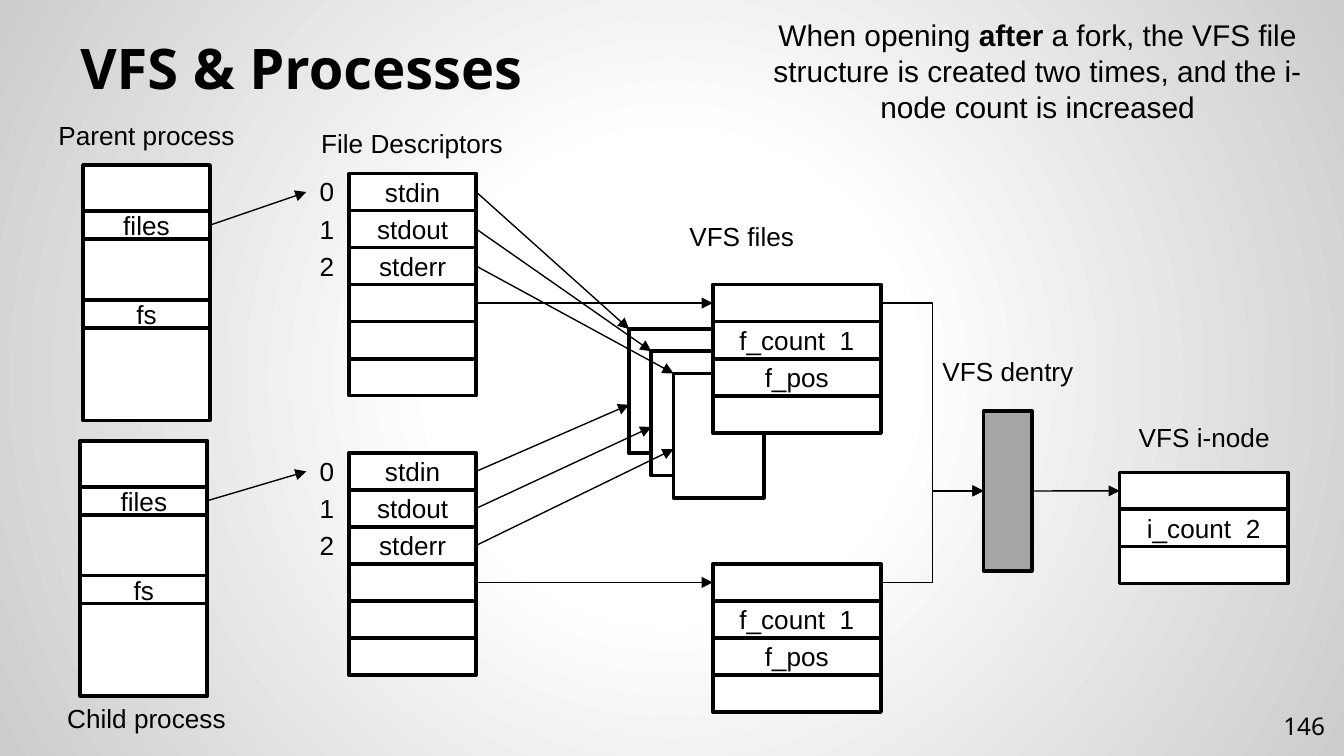
from lxml import etree
from pptx import Presentation
from pptx.dml.color import RGBColor
from pptx.enum.shapes import MSO_CONNECTOR, MSO_SHAPE
from pptx.enum.text import MSO_ANCHOR, MSO_AUTO_SIZE, PP_ALIGN
from pptx.oxml import parse_xml
from pptx.oxml.ns import nsdecls, qn
from pptx.util import Cm, Pt

HUES = {"ink": "000000", "paper": "FFFFFF", "gray": "A6A6A6", "edge": "CCCCCC"}
INK = RGBColor.from_string(HUES["ink"])
FONT = {"name": "Arial", "size": Pt(14), "bold": False}
HEAD = {"name": "Noto Sans", "size": Pt(30), "bold": True}
PAGE = {"name": "Noto Sans", "size": Pt(13)}
PAD = {f"margin_{side}": Cm(0.25) for side in ("left", "top", "right", "bottom")}
GROW = {"auto_size": MSO_AUTO_SIZE.SHAPE_TO_FIT_TEXT}
ROW = 0.7

deck = Presentation()
deck.slide_width, deck.slide_height = Cm(25.4), Cm(14.29)
slide = deck.slides.add_slide(deck.slide_layouts[6])
shapes = slide.shapes


def add(text, x, y, w, h, fill=None, align=PP_ALIGN.CENTER, font={}, frame=GROW):
    """Add a filled box, or a plain label; text between bars is bold."""
    spot = Cm(x), Cm(y), Cm(w), Cm(h)
    if fill:
        box = shapes.add_shape(MSO_SHAPE.RECTANGLE, *spot)
        box.shadow.inherit = False
        box.fill.solid()
        box.fill.fore_color.rgb = RGBColor.from_string(HUES[fill])
        box.line.color.rgb = INK
        box.line.width = Pt(2)
        frame = {"vertical_anchor": MSO_ANCHOR.MIDDLE}
    else:
        box = shapes.add_textbox(*spot)
    for key, val in {"word_wrap": True, **frame}.items():
        setattr(box.text_frame, key, val)
    para = box.text_frame.paragraphs[0]
    para.alignment = align
    for i, part in enumerate(text.split("|") if text else []):
        run = para.add_run()
        run.text = part
        run.font.color.rgb = INK
        for key, val in {**FONT, "bold": i % 2 == 1, **font}.items():
            setattr(run.font, key, val)
    return box


def arrow(start, goal=None, x=0, y=0, kind=MSO_CONNECTOR.STRAIGHT):
    """Lead from the right side of start to the left side of goal, or to x, y."""
    line = shapes.add_connector(kind, 0, 0, Cm(x), Cm(y))
    line.begin_connect(start, 3)
    if goal is not None:
        line.end_connect(goal, 1)
    line.line.color.rgb = INK
    line.line.width = Pt(0.75)
    tip = etree.SubElement(line.line._get_or_add_ln(), qn("a:tailEnd"))
    tip.set("type", "triangle")
    etree.SubElement(line._element.spPr, qn("a:effectLst"))


# Background
slide.background.fill.solid()
back = slide.element.xpath(".//p:bgPr")[0]
stops = "".join(
    f'<a:gs pos="{at}000"><a:srgbClr val="{HUES[hue]}"/></a:gs>'
    for at, hue in ((0, "paper"), (30, "paper"), (100, "edge"))
)
back.replace(back[0], parse_xml(
    f'<a:gradFill {nsdecls("a")} rotWithShape="1"><a:gsLst>{stops}</a:gsLst>'
    '<a:path path="circle"><a:fillToRect l="50000" t="50000" r="50000" b="50000"/>'
    "</a:path></a:gradFill>"
))

# Title, note and page number
add("VFS & Processes", 1.27, 0.58, 22.86, 1.57, align=PP_ALIGN.LEFT, font=HEAD,
    frame={"vertical_anchor": MSO_ANCHOR.BOTTOM, **PAD})
add("When opening |after| a fork, the VFS file structure is created two times, "
    "and the i-node count is increased", 14.3, 0.2, 10.62, 2.31, font={"size": Pt(16)})
add("146", 23.77, 13.18, 1.52, 1.09, align=PP_ALIGN.RIGHT, font=PAGE,
    frame={"vertical_anchor": MSO_ANCHOR.MIDDLE, **PAD})

# Labels
for text, x, y, w in (
    ("Parent process", 0.66, 2.13, 4.22),
    ("Child process", 0.66, 13.16, 4.22),
    ("File Descriptors", 5.1, 2.29, 5.38),
    ("VFS files", 11.91, 4.04, 4.22),
    ("VFS dentry", 16.94, 6.6, 4.22),
    ("VFS i-node", 20.65, 7.85, 4.22),
):
    add(text, x, y, w, 0.86)

# Shared files behind the first open file
for i in range(3):
    add("", 11.89 + 0.42 * i, 6.22 + 0.42 * i, 1.71, 2.35, "paper")

# Stacks of cells
names = ["stdin", "stdout", "stderr", "", "", ""]
file = ["", "f_count  1", "f_pos", ""]
cells = {}
for key, x, y, w, rows in (
    ("table 0", 6.6, 3.28, 2.4, names),
    ("table 1", 6.6, 8.56, 2.4, names),
    ("file 0", 13.47, 5.38, 3.18, file),
    ("file 1", 13.47, 10.66, 3.18, file),
    ("node", 21.16, 8.93, 3.18, ["", "i_count  2", ""]),
):
    cells[key] = [add(text, x, y + ROW * i, w, ROW, "paper") for i, text in enumerate(rows)]
dentry = add("", 18.59, 7.77, 0.91, 3.02, "gray")
arrow(dentry, cells["node"][0])

# Processes with their descriptors and open files
for i, (x, y, top) in enumerate(((1.57, 3.12, 3.28), (1.52, 8.33, 8.56))):
    add("", x, y, 2.4, 4.83, "paper")
    files = add("files", x, y + 0.87, 2.4, 0.53, "paper")
    add("fs", x, y + 2.55, 2.4, 0.53, "paper")
    marks = [add(str(n), 5.79, top - 0.08 + ROW * n, 0.79, 0.86, align=PP_ALIGN.LEFT)
             for n in range(3)]
    arrow(files, marks[0])
    table, first = cells[f"table {i}"], cells[f"file {i}"][0]
    for n in range(3):
        arrow(table[n], x=11.89 + 0.42 * n, y=(6.22, 7.65)[i] + 0.42 * n)
    arrow(table[3], first)
    arrow(first, dentry, kind=MSO_CONNECTOR.ELBOW)

deck.save("out.pptx")
